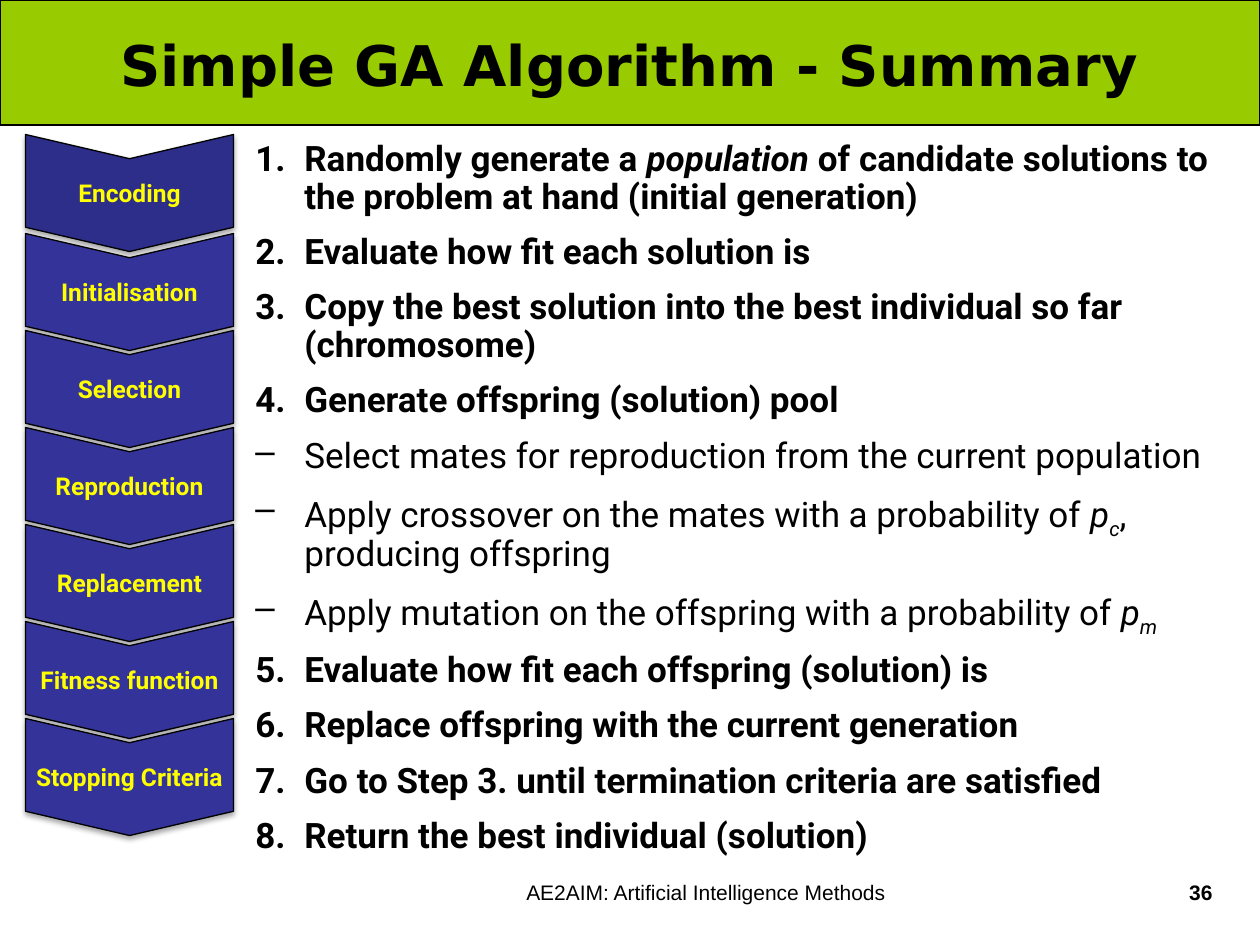
from lxml.etree import SubElement as Sub
from pptx import Presentation
from pptx.dml.color import RGBColor as RGB
from pptx.enum.shapes import MSO_SHAPE as Shape
from pptx.enum.text import MSO_ANCHOR as Anchor, PP_ALIGN as Align
from pptx.oxml import parse_xml
from pptx.oxml.ns import nsdecls, qn
from pptx.util import Emu, Pt

COL = {"bar": "99CC00", "first": "2D2D8A", "step": "333399",
       "label": "FFFF00", "ink": "000000"}


def px(n):
    return Emu(round(n * 914400 / 126))


def write(par, text, size, face, color="ink", **more):
    run = par.add_run()
    run.text = text
    font = run.font
    for key, val in {"size": Pt(size), "name": face, **more}.items():
        setattr(font, key, val)
    font.color.rgb = RGB.from_string(COL[color])
    return run


deck = Presentation()
deck.slide_width, deck.slide_height = px(1260), px(945)
slide = deck.slides.add_slide(deck.slide_layouts[6])
shapes = slide.shapes

# Title bar
bar = shapes.add_shape(Shape.RECTANGLE, 0, 0, px(1260), px(125))
bar.shadow.inherit = False
bar.fill.solid()
bar.fill.fore_color.rgb = RGB.from_string(COL["bar"])
bar.line.color.rgb = RGB.from_string(COL["ink"])
bar.line.width = Pt(0.75)

# Title, footer and page number
for text, box, align, anchor, font in [
    ("Simple GA Algorithm - Summary", (44, 3, 1171, 123), Align.CENTER,
     Anchor.MIDDLE, {"size": 32, "face": "DejaVu Sans", "bold": True}),
    ("AE2AIM: Artificial Intelligence Methods ", (362, 873, 694, 66),
     Align.CENTER, Anchor.TOP, {"size": 12, "face": "Arial"}),
    ("36", (1086, 873, 139, 66), Align.RIGHT,
     Anchor.TOP, {"size": 12, "face": "Arial", "bold": True}),
]:
    frame = shapes.add_textbox(*map(px, box)).text_frame
    frame.word_wrap = True
    frame.vertical_anchor = anchor
    par = frame.paragraphs[0]
    par.alignment = align
    write(par, text, **font)

# Algorithm steps: level, then pieces of text with their style
steps = [
    (0, [("Randomly generate a ", ""), ("population", "i"),
         (" of candidate solutions to the problem at hand "
          "(initial generation)", "")]),
    (0, [("Evaluate how fit each solution is", "")]),
    (0, [("Copy the best solution into the best individual so far "
          "(chromosome)", "")]),
    (0, [("Generate offspring (solution) pool", "")]),
    (1, [("Select mates for reproduction from the current population", "")]),
    (1, [("Apply crossover on the mates with a probability of ", ""),
         ("p", "i"), ("c", "sub"), (", producing offspring", "")]),
    (1, [("Apply mutation on the offspring with a probability of ", ""),
         ("p", "i"), ("m", "sub")]),
    (0, [("Evaluate how fit each offspring (solution) is", "")]),
    (0, [("Replace offspring with the current generation", "")]),
    (0, [("Go to Step 3. until termination criteria are satisfied", "")]),
    (0, [("Return the best individual (solution)", "")]),
]
frame = shapes.add_textbox(px(243), px(135), px(1005), px(704)).text_frame
frame.word_wrap = True
for i, (level, parts) in enumerate(steps):
    par = frame.add_paragraph() if i else frame.paragraphs[0]
    par.level = level
    par.line_spacing = 0.9
    par.space_before = Pt(10 if i else 0)
    prop = par._p.get_or_add_pPr()
    prop.set("marL", str(px(49)))
    prop.set("indent", str(-px(49)))
    if level:
        Sub(prop, qn("a:buChar"), char="–")
    else:
        Sub(prop, qn("a:buFont"), typeface="+mj-lt")
        Sub(prop, qn("a:buAutoNum"), type="arabicPeriod")
    for text, style in parts:
        run = write(par, text, 20, "Roboto", bold=not level,
                    italic=style != "")
        if style == "sub":
            run._r.get_or_add_rPr().set("baseline", "-25000")

# Chevron chain, each turned to point down with upright text
chain = shapes.add_group_shape()
names = ["Encoding", "Initialisation", "Selection", "Reproduction",
         "Replacement", "Fitness function", "Stopping Criteria"]
for i, name in enumerate(names):
    top = 91 + 97 * i if i else 89
    chev = chain.shapes.add_shape(Shape.CHEVRON, px(71), px(top),
                                  px(117), px(208))
    chev.rotation = 90
    chev.adjustments[0] = 0.207
    chev.fill.solid()
    chev.fill.fore_color.rgb = RGB.from_string(COL["step" if i else "first"])
    chev.line.color.rgb = RGB.from_string(COL["ink"])
    chev.line.width = Pt(0.75)
    chev._element.spPr.append(parse_xml(
        f'<a:effectLst {nsdecls("a")}><a:outerShdw blurRad="{Pt(3.1)}" '
        f'dist="{Pt(1.8)}" dir="5400000" rotWithShape="0">'
        f'<a:srgbClr val="{COL["ink"]}"><a:alpha val="35000"/></a:srgbClr>'
        '</a:outerShdw></a:effectLst>'))
    frame = chev.text_frame
    for key, val in {"margin_left": 0, "margin_right": 0, "margin_top": 0,
                     "margin_bottom": 0, "word_wrap": True,
                     "vertical_anchor": Anchor.MIDDLE}.items():
        setattr(frame, key, val)
    frame._txBody.bodyPr.set("vert", "vert270")
    par = frame.paragraphs[0]
    par.alignment = Align.CENTER
    write(par, name, 14, "Roboto", "label", bold=True)

deck.save("out.pptx")
